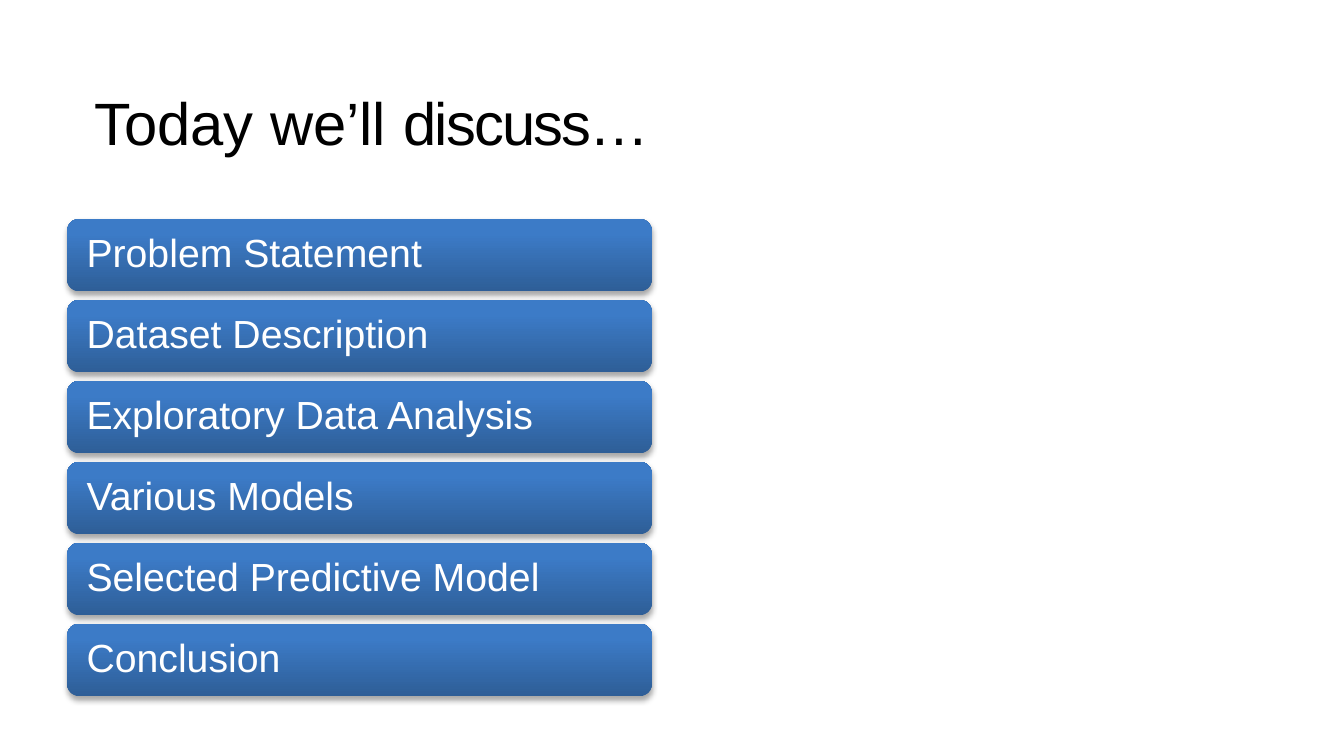
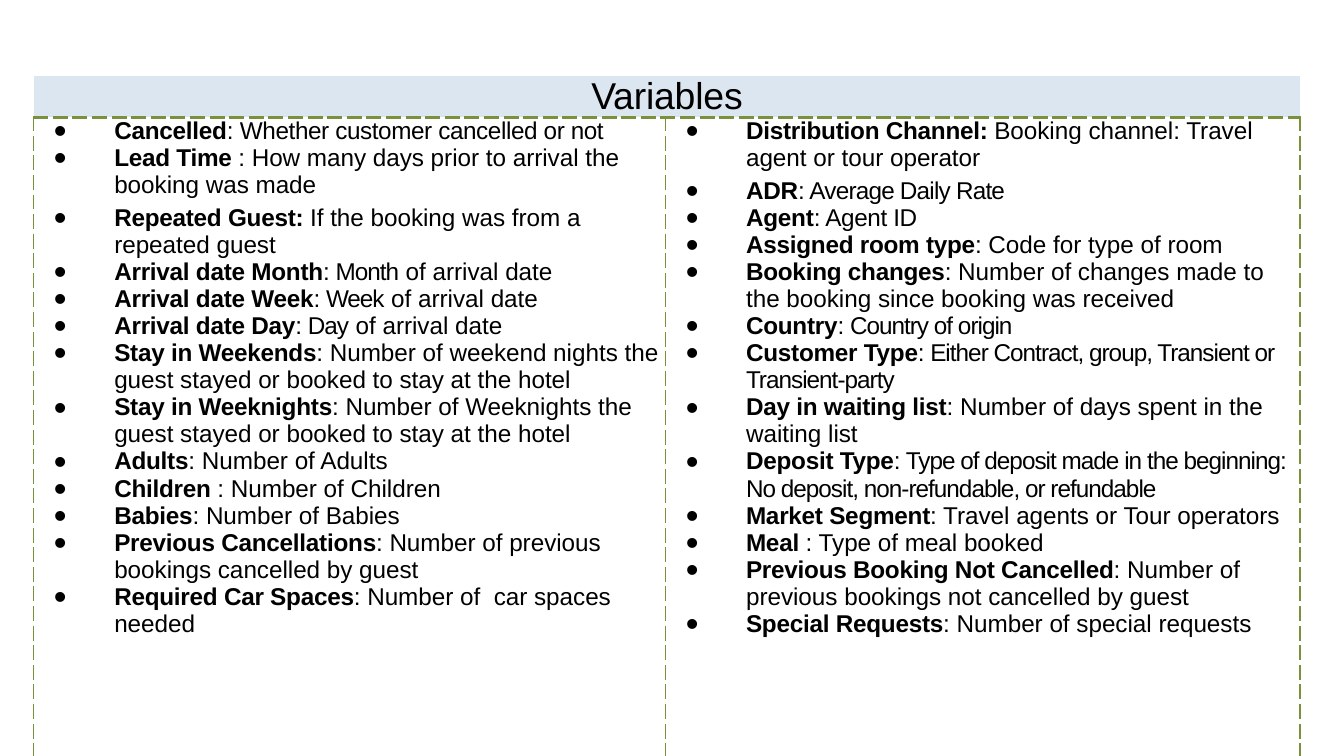
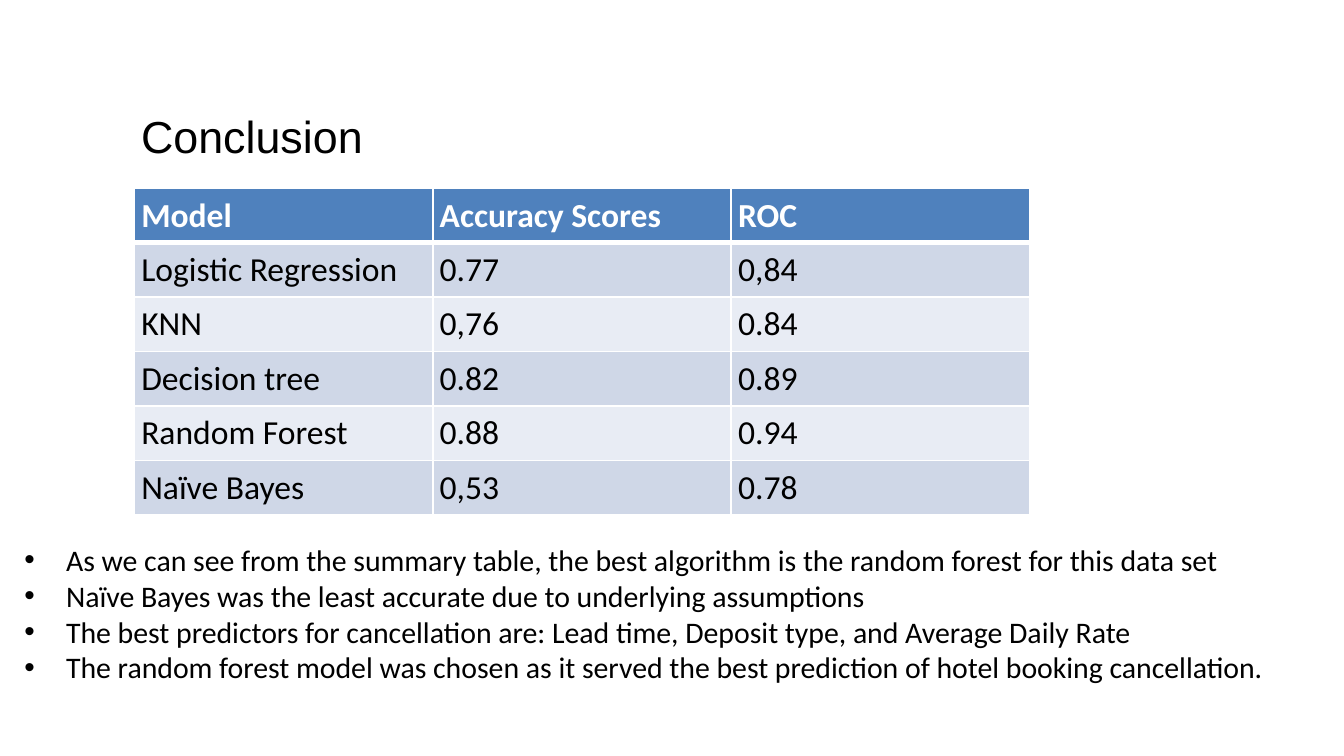
from lxml import etree
from pptx import Presentation
from pptx import util as u
from pptx.dml import color
from pptx.enum import shapes, text
from pptx.oxml import ns

COLORS = {
    "black": "000000",
    "white": "FFFFFF",
    "card_dark": "2E5E97",
    "card_mid": "3C7BC7",
    "card_light": "3A7CCA",
    "variables_header": "DCE6F1",
    "variables_border": "77923B",
    "model_header": "4F81BD",
    "model_band": "CFD7E7",
    "model_band_light": "E8ECF4",
}
HEADING_FONT = "Arial"
BODY_FONT = "Calibri"

TOPICS = [
    "Problem Statement",
    "Dataset Description",
    "Exploratory Data Analysis",
    "Various Models",
    "Selected Predictive Model",
    "Conclusion",
]

VARIABLES = [
    [
        ("Cancelled", (":", 0), (" Whether customer cancelled or not", -0.2)),
        ("Lead Time ", (": How many days prior to arrival the booking was made", 0)),
        ("Repeated Guest: ", ("If the booking was from a repeated guest", 0)),
        ("Arrival date Month", (":", 0), (" Month", -0.5), (" of arrival date", 0)),
        ("Arrival date Week", (":", 0), (" Week", -0.5), (" of arrival date", 0)),
        ("Arrival date Day", (":", 0), (" Day", -0.5), (" of arrival date", 0)),
        ("Stay in Weekends", (": Number of weekend nights the guest stayed or booked to stay at the hotel", 0)),
        ("Stay in Weeknights", (": Number of Weeknights the guest stayed or booked to stay at the hotel", 0)),
        ("Adults", (": Number of Adults", 0)),
        ("Children ", (": Number of Children", 0)),
        ("Babies", (": Number of Babies", 0)),
        ("Previous Cancellations", (": Number of previous bookings cancelled by guest", 0)),
        ("Required Car Spaces", (": Number of  car spaces needed", 0)),
    ],
    [
        ("Distribution Channel: ", ("Booking channel: Travel agent or tour operator", 0)),
        ("ADR", (":", 0), (" Average Daily Rate", -0.4)),
        ("Agent", (":", 0), (" Agent ID", -0.2)),
        ("Assigned room type", (": Code for type of room", 0)),
        ("Booking changes", (": Number of changes made to the booking since booking was received", 0)),
        ("Country", (":", 0), (" Country of origin", -0.5)),
        ("Customer Type", (":", 0), (" Either Contract, group, Transient or Transient-party", -0.5)),
        ("Day in waiting list", (": Number of days spent in the waiting list", 0)),
        ("Deposit Type", (":", 0), (" Type of deposit made in the beginning: No deposit, non-refundable, or refundable", -0.5)),
        ("Market Segment", (": Travel agents or Tour operators", 0)),
        ("Meal ", (": Type of meal booked", 0)),
        ("Previous Booking Not Cancelled", (": Number of previous bookings not cancelled by guest", 0)),
        ("Special Requests", (": Number of special requests", 0)),
    ],
]
SPACED_VARIABLES = ("Repeated Guest: ", "ADR")

MODELS = [
    ("Model", "Accuracy Scores", "ROC"),
    ("Logistic Regression", "0.77", "0,84"),
    ("KNN", "0,76", "0.84"),
    ("Decision tree", "0.82", "0.89"),
    ("Random Forest", "0.88", "0.94"),
    ("Naïve Bayes", "0,53", "0.78"),
]

FINDINGS = [
    "As we can see from the summary table, the best algorithm is the random forest for this data set",
    "Naïve Bayes was the least accurate due to underlying assumptions",
    "The best predictors for cancellation are: Lead time, Deposit type, and Average Daily Rate",
    "The random forest model was chosen as it served the best prediction of hotel booking cancellation.",
]


def rgb(name):
    return color.RGBColor.from_string(COLORS[name])


def add_element(parent, tag, **attributes):
    element = etree.SubElement(parent, ns.qn(tag))
    for key, value in attributes.items():
        element.set(key, str(value))
    return element


def set_font(font, name, size, color_name, bold=False):
    font.name = name
    font.size = u.Pt(size)
    font.bold = bold
    font.color.rgb = rgb(color_name)


def set_margins(target, left, top=None):
    top = left if top is None else top
    target.margin_left = target.margin_right = u.Cm(left)
    target.margin_top = target.margin_bottom = u.Cm(top)


def add_run(paragraph, content, tracking=0, bold=False):
    run = paragraph.add_run()
    run.text = content
    run.font.bold = bold
    if tracking:
        run._r.get_or_add_rPr().set("spc", str(round(tracking * 100)))


def next_paragraph(frame, index):
    return frame.add_paragraph() if index else frame.paragraphs[0]


def add_bullet(paragraph, margin, hanging, percent=100):
    properties = paragraph._p.get_or_add_pPr()
    properties.set("marL", str(u.Cm(margin)))
    properties.set("indent", str(-u.Cm(hanging)))
    add_element(properties, "a:buSzPct", val=percent * 1000)
    add_element(properties, "a:buFont", typeface="Arial")
    add_element(properties, "a:buChar", char="•")


def set_borders(cell, color_name, dash="solid", **widths):
    properties = cell._tc.get_or_add_tcPr()
    for side in "LRTB":
        width = widths.get(side, 0)
        line = add_element(properties, f"a:ln{side}", w=u.Pt(width))
        if width:
            fill = add_element(line, "a:solidFill")
            add_element(fill, "a:srgbClr", val=COLORS[color_name])
            add_element(line, "a:prstDash", val=dash)
        else:
            add_element(line, "a:noFill")


def fill_cell(cell, color_name):
    cell.fill.solid()
    cell.fill.fore_color.rgb = rgb(color_name)


def add_titled_slide(presentation, runs, box, size, alignment):
    slide = presentation.slides.add_slide(presentation.slide_layouts[5])
    title = slide.shapes.title
    title.left, title.top, title.width, title.height = map(u.Cm, box)
    frame = title.text_frame
    frame.auto_size = text.MSO_AUTO_SIZE.NONE
    frame.vertical_anchor = text.MSO_ANCHOR.TOP
    set_margins(frame, 0)
    paragraph = frame.paragraphs[0]
    paragraph.alignment = alignment
    set_font(paragraph.font, HEADING_FONT, size, "black")
    for content, tracking in runs:
        add_run(paragraph, content, tracking)
    return slide


def add_table(slide, box, columns, heights):
    table = slide.shapes.add_table(len(heights), len(columns), *map(u.Cm, box)).table
    for column, width in zip(table.columns, columns):
        column.width = u.Cm(width)
    for row, height in zip(table.rows, heights):
        row.height = u.Cm(height)
    return table


def style_card(card):
    card.adjustments[0] = 0.167
    card.line.fill.background()
    card.shadow.inherit = False
    card.fill.gradient()
    gradient = card._element.spPr.find(ns.qn("a:gradFill"))
    for child in list(gradient):
        gradient.remove(child)
    stops = add_element(gradient, "a:gsLst")
    for position, name in ((0, "card_dark"), (80, "card_mid"), (100, "card_light")):
        stop = add_element(stops, "a:gs", pos=position * 1000)
        add_element(stop, "a:srgbClr", val=COLORS[name])
    add_element(gradient, "a:lin", ang=270 * 60000, scaled=0)
    effects = card._element.spPr.find(ns.qn("a:effectLst"))
    shadow = add_element(effects, "a:outerShdw", blurRad=u.Pt(3), dist=u.Pt(1.8),
                         dir=90 * 60000, rotWithShape=0)
    shade = add_element(shadow, "a:srgbClr", val=COLORS["black"])
    add_element(shade, "a:alpha", val=35000)


def build_agenda(presentation):
    runs = [("Today we’ll ", 0), ("discuss…", -1)]
    slide = add_titled_slide(presentation, runs, (1.78, 1.63, 21.9, 2.77), 32, text.PP_ALIGN.LEFT)
    top, pitch = 4.14, 1.53
    for index, topic in enumerate(TOPICS):
        card = slide.shapes.add_shape(shapes.MSO_SHAPE.ROUNDED_RECTANGLE, u.Cm(1.27),
                                      u.Cm(top + index * pitch), u.Cm(11.05), u.Cm(1.37))
        style_card(card)
        frame = card.text_frame
        frame.vertical_anchor = text.MSO_ANCHOR.MIDDLE
        set_margins(frame, 0.3, 0.1)
        paragraph = frame.paragraphs[0]
        paragraph.text = topic
        paragraph.alignment = text.PP_ALIGN.LEFT
        paragraph.line_spacing = 0.9
        set_font(paragraph.font, HEADING_FONT, 21, "white")


def build_variables(presentation):
    slide = presentation.slides.add_slide(presentation.slide_layouts[6])
    table = add_table(slide, (0.64, 1.43, 23.93, 13.74), (11.94, 11.99), (0.71, 13.03))
    table.first_row = table.horz_banding = False
    header = table.cell(0, 0)
    header.merge(table.cell(0, 1))
    for cell in table.rows[0].cells:
        set_margins(cell, 0)
        set_borders(cell, "variables_border", "sysDash", B=1.5)
        fill_cell(cell, "variables_header")
    paragraph = header.text_frame.paragraphs[0]
    paragraph.alignment = text.PP_ALIGN.CENTER
    set_font(paragraph.font, HEADING_FONT, 20, "black")
    add_run(paragraph, "Variables", -0.1)

    for cell, variables in zip(table.rows[1].cells, VARIABLES):
        set_margins(cell, 0)
        set_borders(cell, "variables_border", "sysDash", L=0.75, R=0.75, T=1.5, B=1.5)
        cell.fill.background()
        for index, (name, *pieces) in enumerate(variables):
            paragraph = next_paragraph(cell.text_frame, index)
            add_bullet(paragraph, 1.52, 1.14, 150)
            if name in SPACED_VARIABLES:
                paragraph.space_before = u.Pt(3)
            set_font(paragraph.font, HEADING_FONT, 13, "black")
            add_run(paragraph, name, -0.1, bold=True)
            for content, tracking in pieces:
                add_run(paragraph, content, tracking)


def build_conclusion(presentation):
    slide = add_titled_slide(presentation, [("Conclusion", 0)], (-4.45, 2.06, 18.42, 1.02), 24,
                             text.PP_ALIGN.CENTER)
    box = slide.shapes.add_textbox(u.Cm(0.33), u.Cm(10.11), u.Cm(49.4), u.Cm(4.37))
    frame = box.text_frame
    frame.word_wrap = True
    set_margins(frame, 0.13)
    for index, finding in enumerate(FINDINGS):
        paragraph = next_paragraph(frame, index)
        paragraph.text = finding
        add_bullet(paragraph, 0.79, 0.79)
        set_font(paragraph.font, BODY_FONT, 16, "black")

    heights = [0.98] + [1.03] * (len(MODELS) - 1)
    table = add_table(slide, (2.54, 3.56, 16.92, sum(heights)), [5.64] * 3, heights)
    for row_index, values in enumerate(MODELS):
        is_header = row_index == 0
        band = "model_band" if row_index % 2 else "model_band_light"
        for cell, value in zip(table.rows[row_index].cells, values):
            set_margins(cell, 0.13)
            set_borders(cell, "white", L=1, R=1, T=3 if row_index == 1 else 1, B=3 if is_header else 1)
            fill_cell(cell, "model_header" if is_header else band)
            paragraph = cell.text_frame.paragraphs[0]
            paragraph.text = value
            set_font(paragraph.font, BODY_FONT, 18, "white" if is_header else "black", is_header)


def main():
    presentation = Presentation()
    presentation.slide_width = u.Cm(25.4)
    presentation.slide_height = u.Cm(14.29)
    build_agenda(presentation)
    build_variables(presentation)
    build_conclusion(presentation)
    presentation.save("out.pptx")


if __name__ == "__main__":
    main()
